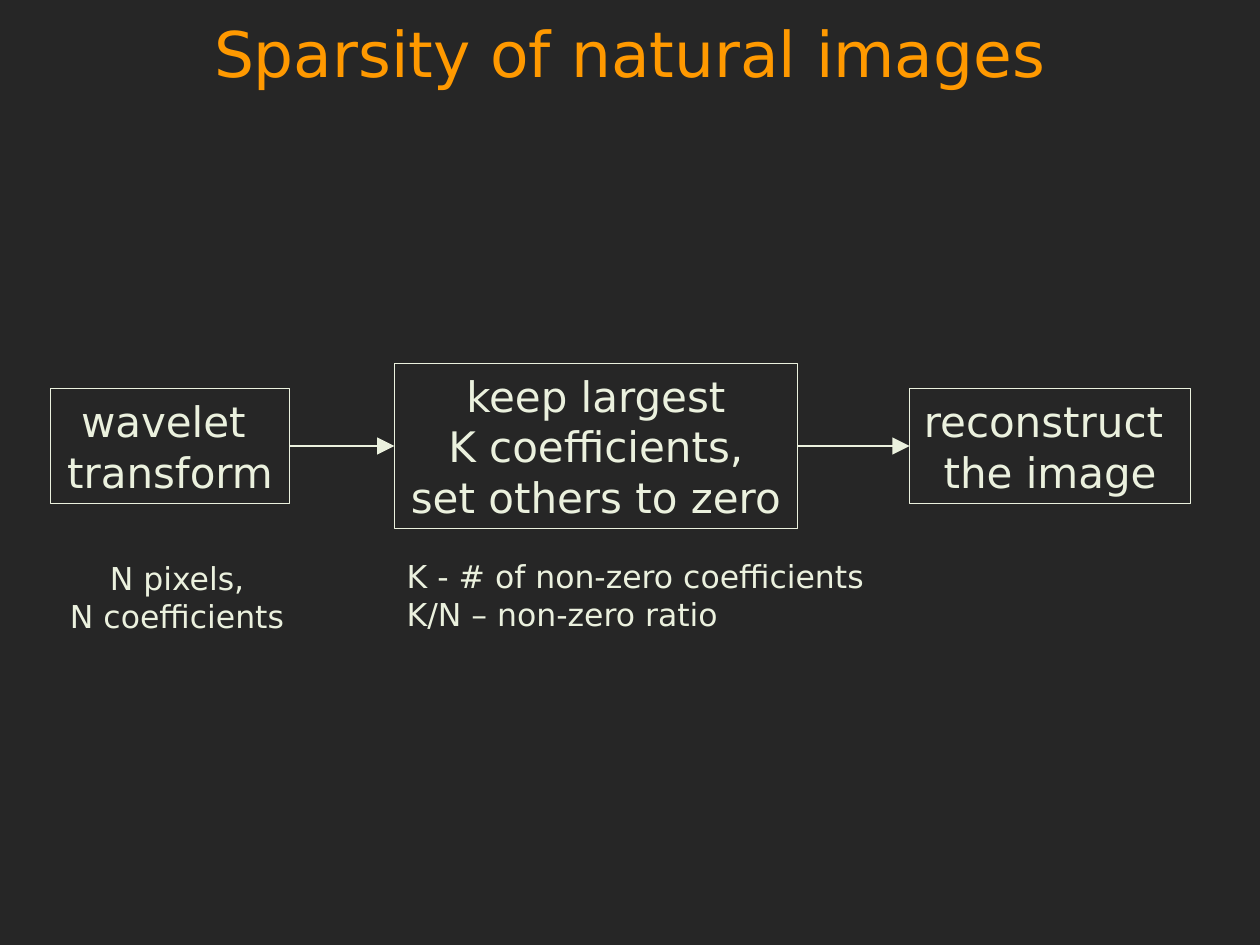
from lxml.etree import SubElement
from pptx import Presentation
from pptx.dml.color import RGBColor
from pptx.enum.shapes import MSO_CONNECTOR, MSO_SHAPE
from pptx.enum.text import MSO_ANCHOR, PP_ALIGN
from pptx.oxml.ns import qn
from pptx.util import Inches, Pt

COLORS = {"background": "262626", "title": "FF9900", "ink": "EBF1DE"}
FONT = "DejaVu Sans"
FLOW_CENTER = 3.54
STEPS = [
    (0.4, 1.9, 0.91, "wavelet \ntransform"),
    (3.13, 3.2, 1.31, "keep largest\nK coefficients,\nset others to zero"),
    (7.22, 2.23, 0.91, "reconstruct \nthe image"),
]


def color(name):
    return RGBColor.from_string(COLORS[name])


def write(shape, text, size, ink="ink", align=PP_ALIGN.LEFT, anchor=MSO_ANCHOR.TOP, wrap=True):
    frame = shape.text_frame
    frame.text = text
    frame.word_wrap = wrap
    frame.vertical_anchor = anchor
    for paragraph in frame.paragraphs:
        paragraph.alignment = align
        for run in paragraph.runs:
            run.font.name = FONT
            run.font.size = Pt(size)
            run.font.color.rgb = color(ink)


def add_label(slide, left, top, width, height, text, size, **style):
    label = slide.shapes.add_textbox(Inches(left), Inches(top), Inches(width), Inches(height))
    write(label, text, size, **style)


def add_step(slide, left, width, height, text):
    top = FLOW_CENTER - height / 2
    step = slide.shapes.add_shape(
        MSO_SHAPE.RECTANGLE, Inches(left), Inches(top), Inches(width), Inches(height))
    step.shadow.inherit = False
    step.fill.background()
    step.line.color.rgb = color("ink")
    step.line.width = Pt(0.75)
    write(step, text, 24, align=PP_ALIGN.CENTER, anchor=MSO_ANCHOR.MIDDLE, wrap=False)
    return step


def add_arrow(slide, source, target):
    arrow = slide.shapes.add_connector(MSO_CONNECTOR.STRAIGHT, 0, 0, 0, 0)
    arrow.begin_connect(source, 3)
    arrow.end_connect(target, 1)
    arrow.line.color.rgb = color("ink")
    arrow.line.width = Pt(0.75)
    SubElement(arrow.line._get_or_add_ln(), qn("a:tailEnd"), type="triangle", w="lg", len="lg")
    SubElement(arrow._element.spPr, qn("a:effectLst"))


def main():
    """Build the slide on the sparsity of natural images."""
    deck = Presentation()
    deck.slide_width, deck.slide_height = Inches(10), Inches(7.5)
    slide = deck.slides.add_slide(deck.slide_layouts[6])
    slide.background.fill.solid()
    slide.background.fill.fore_color.rgb = color("background")

    add_label(slide, 0.5, 0, 9, 0.83, "Sparsity of natural images", 36,
              ink="title", align=PP_ALIGN.CENTER, anchor=MSO_ANCHOR.MIDDLE)
    steps = [add_step(slide, *step) for step in STEPS]
    for source, target in zip(steps, steps[1:]):
        add_arrow(slide, source, target)
    add_label(slide, 3.13, 4.37, 4.44, 1.01,
              "K - # of non-zero coefficients\nK/N – non-zero ratio", 18)
    add_label(slide, 0.05, 4.39, 2.71, 0.71, "N pixels,\nN coefficients", 18,
              align=PP_ALIGN.CENTER)
    deck.save("out.pptx")


if __name__ == "__main__":
    main()
